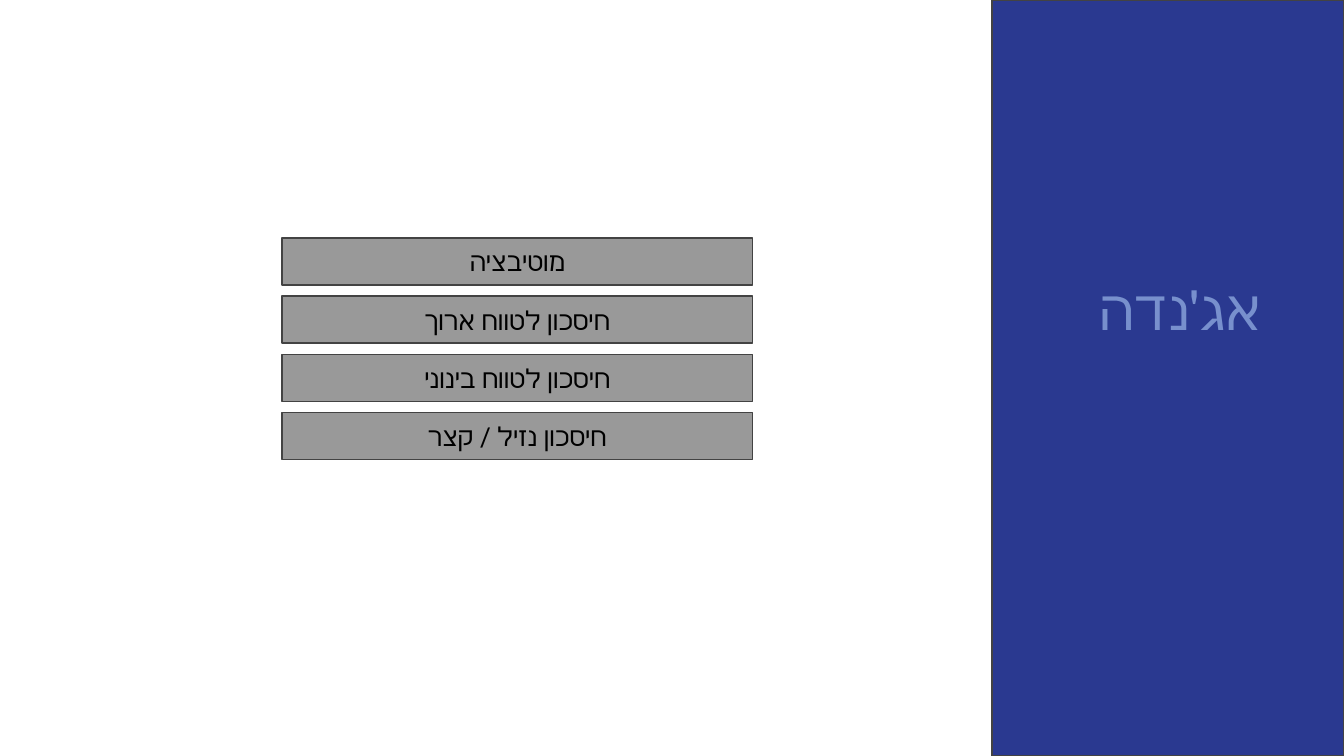
from dataclasses import dataclass

from lxml import etree
from pptx import Presentation
from pptx.dml.color import RGBColor
from pptx.enum.shapes import MSO_SHAPE
from pptx.enum.text import MSO_ANCHOR, MSO_AUTO_SIZE, PP_ALIGN
from pptx.oxml.ns import qn
from pptx.util import Inches, Pt

RECT = MSO_SHAPE.RECTANGLE
TOP, MIDDLE = MSO_ANCHOR.TOP, MSO_ANCHOR.MIDDLE
RIGHT, CENTER = PP_ALIGN.RIGHT, PP_ALIGN.CENTER
NO_FIT = MSO_AUTO_SIZE.NONE
FONT = "Roboto"
WIDTH = 10
HEIGHT = WIDTH * 9 / 16
TOPICS = [
    "מוטיבציה",
    "חיסכון לטווח ארוך",
    "חיסכון לטווח בינוני",
    "חיסכון נזיל / קצר",
]
FIRST, LAST = 1.77, 3.07
PITCH = (LAST - FIRST) / (len(TOPICS) - 1)


@dataclass
class Box:
    left: float
    top: float
    width: float
    height: float
    fill: str
    text: str = ""


def color(value: str) -> RGBColor:
    return RGBColor.from_string(value)


def write(shape, text: str, *, size: float, ink: str, align, anchor) -> None:
    frame = shape.text_frame
    frame.auto_size = NO_FIT
    frame.word_wrap = True
    frame.vertical_anchor = anchor
    frame.margin_left = frame.margin_right = Inches(0.1)
    frame.margin_top = frame.margin_bottom = Inches(0.1)
    para = frame.paragraphs[0]
    para.alignment = align
    para._p.get_or_add_pPr().set("rtl", "1")
    run = para.add_run()
    run.text = text
    run.font.size = Pt(size)
    run.font.name = FONT
    run.font.color.rgb = color(ink)
    script = etree.SubElement(run._r.get_or_add_rPr(), qn("a:cs"))
    script.set("typeface", FONT)


def draw(slide, box: Box) -> None:
    shape = slide.shapes.add_shape(
        RECT, Inches(box.left), Inches(box.top), Inches(box.width), Inches(box.height)
    )
    shape.shadow.inherit = False
    shape.fill.solid()
    shape.fill.fore_color.rgb = color(box.fill)
    shape.line.color.rgb = color("434343")
    shape.line.width = Pt(0.75)
    if box.text:
        write(shape, box.text, size=14, ink="000000", align=CENTER, anchor=MIDDLE)


def head(slide, text: str) -> None:
    title = slide.shapes.title
    title.left, title.top = Inches(6.87), Inches(1.94)
    title.width, title.height = Inches(2.62), Inches(1.41)
    write(title, text, size=30, ink="7890CD", align=RIGHT, anchor=TOP)
    title.element.getparent().append(title.element)


def main() -> None:
    deck = Presentation()
    deck.slide_width, deck.slide_height = Inches(WIDTH), Inches(HEIGHT)
    slide = deck.slides.add_slide(deck.slide_layouts[5])
    draw(slide, Box(7.38, 0, 2.62, HEIGHT, "2A3990"))
    head(slide, "אג׳נדה")
    for row, topic in enumerate(TOPICS):
        draw(slide, Box(2.1, FIRST + row * PITCH, 3.5, 0.35, "999999", topic))
    deck.save("out.pptx")


if __name__ == "__main__":
    main()
